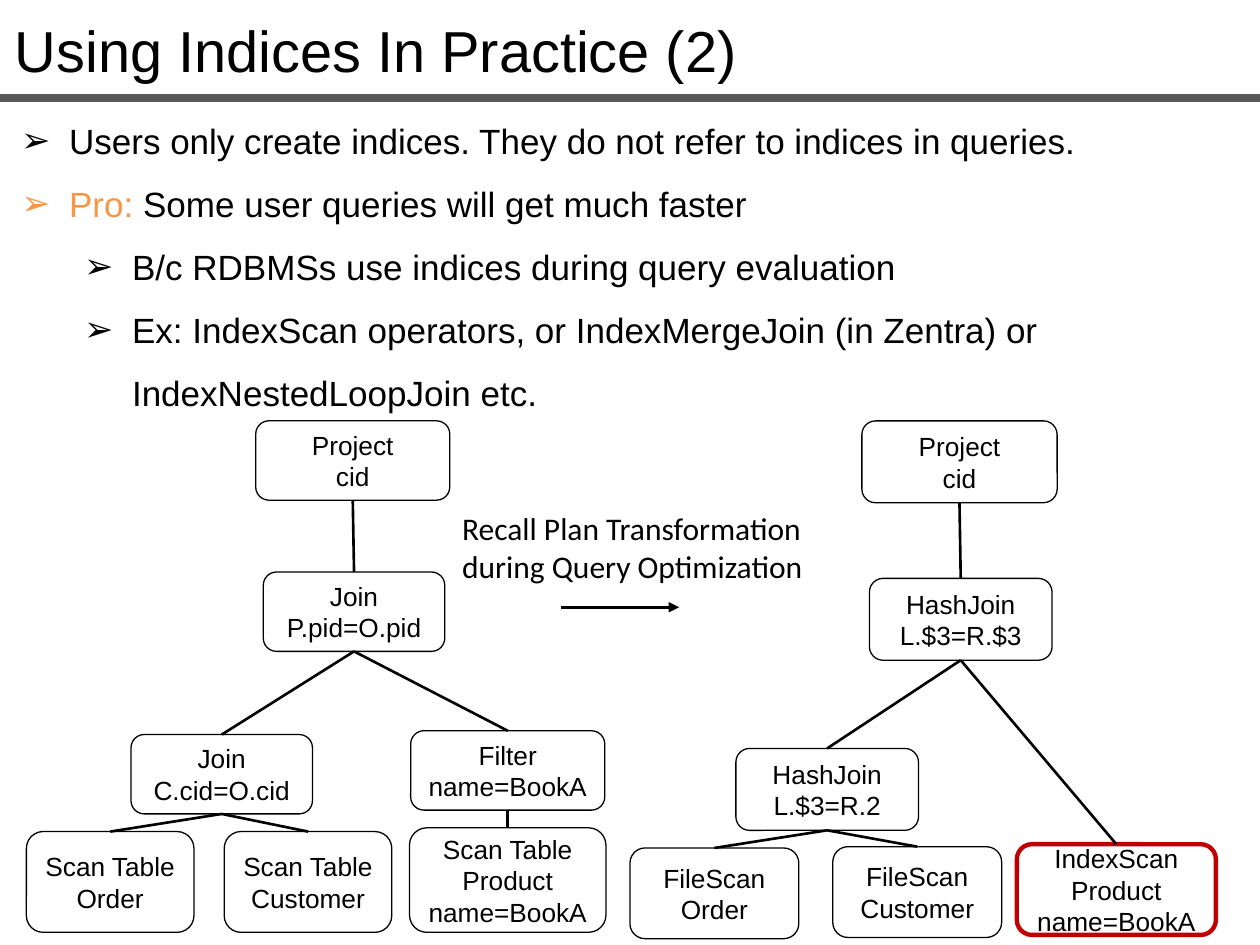
"""Build the slide on using indices in practice, with two query plan trees."""
from lxml.etree import SubElement
from pptx import Presentation
from pptx.dml.color import RGBColor
from pptx.enum.shapes import MSO_CONNECTOR as CONN, MSO_SHAPE as SHAPE
from pptx.enum.text import MSO_ANCHOR as ANCHOR, PP_ALIGN as ALIGN
from pptx.oxml.ns import qn
from pptx.util import Inches, Pt

BLACK = RGBColor(0x00, 0x00, 0x00)
WHITE = RGBColor(0xFF, 0xFF, 0xFF)
GRAY = RGBColor(0x59, 0x59, 0x59)
ORANGE = RGBColor(0xF7, 0x96, 0x46)
RED = RGBColor(0xC0, 0x00, 0x00)

prs = Presentation()
prs.slide_width, prs.slide_height = Inches(10), Inches(7.5)
s = prs.slides.add_slide(prs.slide_layouts[6])


def add_line(x1, y1, x2, y2, color=BLACK, width=1.5):
    c = s.shapes.add_connector(CONN.STRAIGHT, Inches(x1), Inches(y1), Inches(x2), Inches(y2))
    c.line.color.rgb = color
    c.line.width = Pt(width)
    SubElement(c._element.spPr, qn("a:effectLst"))
    return c


def add_run(p, text, size, font="Arial", color=BLACK):
    r = p.add_run()
    r.text = text
    for name, value in {"size": Pt(size), "name": font}.items():
        setattr(r.font, name, value)
    r.font.color.rgb = color


texts = [
    ((0.02, 0.07, 10, 0.66), "Using Indices In Practice (2)", 33, "Arial"),
    ((3.57, 3.99, 3.03, 0.71), "Recall Plan Transformation during Query Optimization", 18, "Calibri"),
]
for box, text, size, font in texts:
    tf = s.shapes.add_textbox(*map(Inches, box)).text_frame
    tf.word_wrap = True
    add_run(tf.paragraphs[0], text, size, font)

add_line(0, 0.78, 10, 0.78, GRAY, 4.5)

bullets = [
    (0, [("Users only create indices. They do not refer to indices in queries.", BLACK)]),
    (0, [("Pro:", ORANGE), (" Some user queries will get much faster", BLACK)]),
    (1, [("B/c RDBMSs use indices during query evaluation", BLACK)]),
    (1, [("Ex: IndexScan operators, or IndexMergeJoin (in Zentra) or IndexNestedLoopJoin etc.", BLACK)]),
]
tf = s.shapes.add_textbox(Inches(0.07), Inches(0.73), Inches(10), Inches(2.56)).text_frame
tf.word_wrap = True
for i, (level, runs) in enumerate(bullets):
    p = tf.add_paragraph() if i else tf.paragraphs[0]
    p.level = level
    p.line_spacing = 1.5
    pPr = p._p.get_or_add_pPr()
    pPr.set("marL", str(Inches(0.38 + 0.5 * level)))
    pPr.set("indent", str(Inches(-0.38)))
    SubElement(pPr, qn("a:buFont"), typeface="Arial")
    SubElement(pPr, qn("a:buChar"), char="➢")
    for text, color in runs:
        add_run(p, text, 20, color=color)

nodes = {
    "project": (2.03, 3.34, 1.54, 0.63, "Project\ncid"),
    "join": (2.09, 4.54, 1.44, 0.63, "Join\nP.pid=O.pid"),
    "inner join": (1.04, 5.83, 1.44, 0.63, "Join\nC.cid=O.cid"),
    "filter": (3.26, 5.8, 1.54, 0.63, "Filter\nname=BookA"),
    "scan order": (0.21, 6.6, 1.33, 0.8, "Scan Table\nOrder"),
    "scan customer": (1.78, 6.6, 1.33, 0.8, "Scan Table\nCustomer"),
    "scan product": (3.25, 6.57, 1.56, 0.83, "Scan Table\nProduct\nname=BookA"),
    "new project": (6.84, 3.34, 1.55, 0.65, "Project\ncid"),
    "hash join": (6.9, 4.59, 1.45, 0.65, "HashJoin\nL.$3=R.$3"),
    "inner hash join": (5.84, 5.94, 1.45, 0.65, "HashJoin\nL.$3=R.2"),
    "file order": (5, 6.73, 1.34, 0.72, "FileScan\nOrder"),
    "file customer": (6.61, 6.72, 1.34, 0.72, "FileScan\nCustomer"),
    "index product": (8.07, 6.7, 1.58, 0.72, "IndexScan\nProduct\nname=BookA"),
}
edges = [
    ("project", "join"), ("join", "inner join"), ("join", "filter"),
    ("inner join", "scan order"), ("inner join", "scan customer"), ("filter", "scan product"),
    ("new project", "hash join"), ("hash join", "inner hash join"), ("hash join", "index product"),
    ("inner hash join", "file order"), ("inner hash join", "file customer"),
]
parents = {parent for parent, child in edges}
shapes = {}
for name, (*box, text) in nodes.items():
    sp = s.shapes.add_shape(SHAPE.ROUNDED_RECTANGLE, *map(Inches, box))
    sp.shadow.inherit = False
    if name in parents:
        sp.fill.background()
    else:
        sp.fill.solid()
        sp.fill.fore_color.rgb = WHITE
    indexed = name == "index product"
    sp.line.color.rgb = RED if indexed else BLACK
    sp.line.width = Pt(2.5 if indexed else 0.75)
    tf = sp.text_frame
    frame = {"margin_left": 0, "margin_right": 0, "word_wrap": True, "vertical_anchor": ANCHOR.MIDDLE}
    for key, value in frame.items():
        setattr(tf, key, value)
    for i, line in enumerate(text.split("\n")):
        p = tf.add_paragraph() if i else tf.paragraphs[0]
        p.alignment = ALIGN.CENTER
        add_run(p, line, 15)
    shapes[name] = sp

for parent, child in edges:
    c = add_line(0, 0, 1, 1)
    c.begin_connect(shapes[parent], 2)
    c.end_connect(shapes[child], 0)

arrow = add_line(4.45, 4.82, 5.39, 4.82)
SubElement(arrow.line._get_or_add_ln(), qn("a:tailEnd"), type="triangle")

prs.save("out.pptx")
